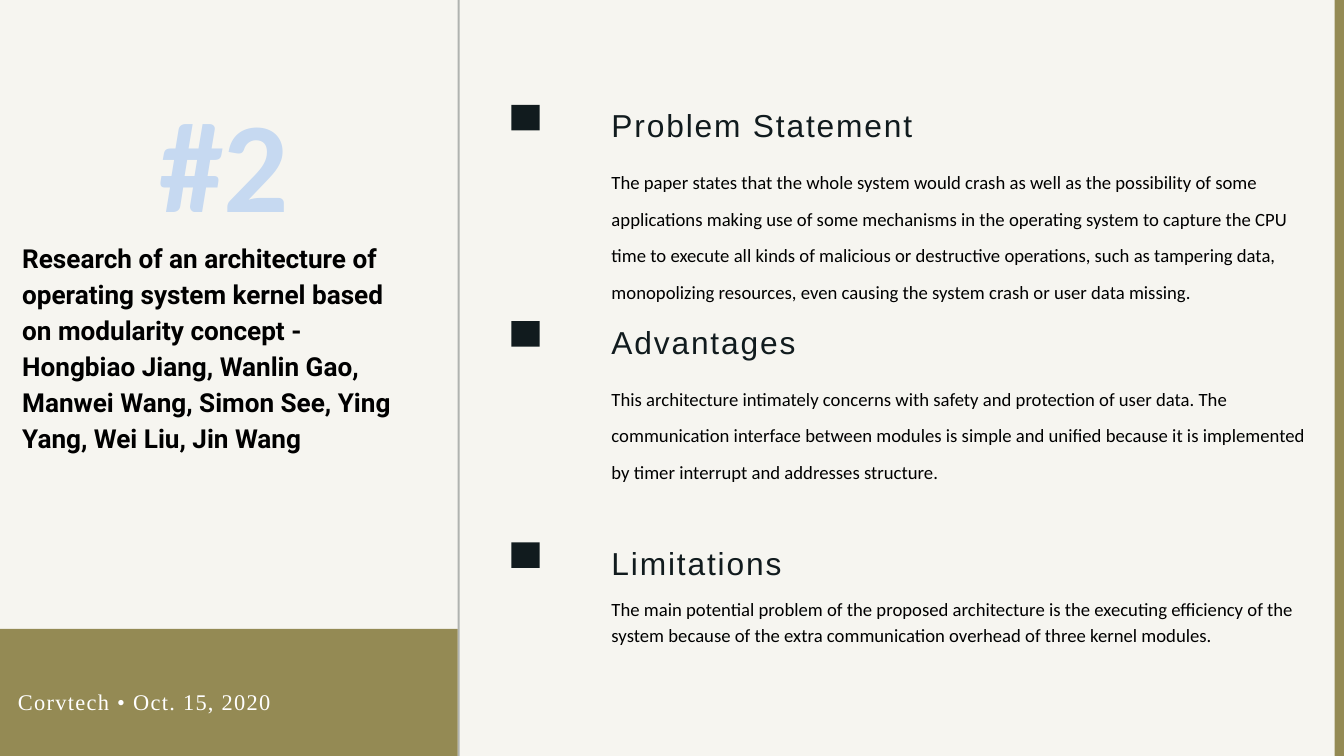
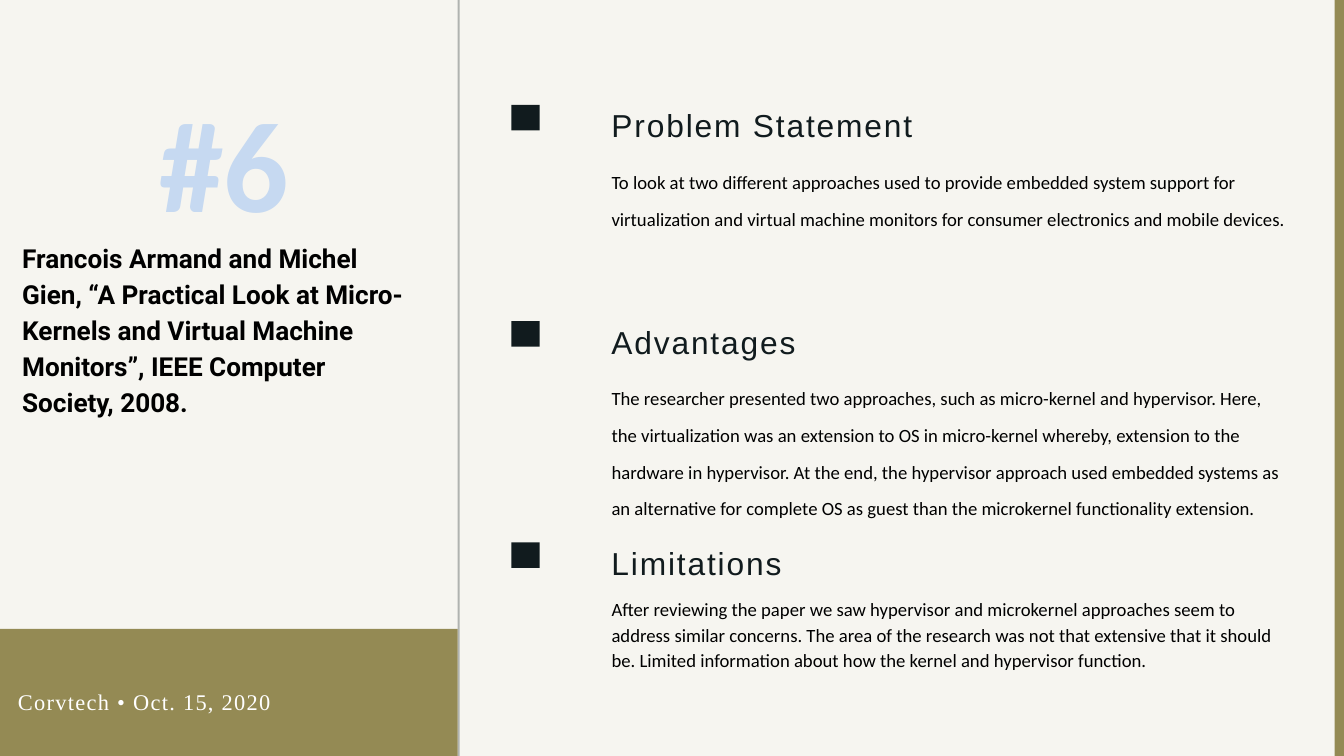
from lxml import etree
from pptx import Presentation
from pptx.dml.color import RGBColor
from pptx.enum.shapes import MSO_SHAPE
from pptx.enum.text import MSO_AUTO_SIZE, PP_ALIGN
from pptx.oxml.ns import qn
from pptx.util import Pt

RECTANGLE = MSO_SHAPE.RECTANGLE
GROW = MSO_AUTO_SIZE.SHAPE_TO_FIT_TEXT
LEFT, CENTER, RIGHT = PP_ALIGN.LEFT, PP_ALIGN.CENTER, PP_ALIGN.RIGHT

COLORS = {
    "paper": "F6F5F0",
    "olive": "948A54",
    "ink": "111B1E",
    "number": "C6D9F1",
    "black": "000000",
    "white": "FFFFFF",
}

FOOTER = "Corvtech • Oct. 15, 2020"
HEADINGS = ("Problem Statement", "Advantages", "Limitations")
SECTION_TOPS = (110.2, 342, 578.9)
BODY_SPACINGS = (Pt(39.2), Pt(39.2), 1.15)
SECTION_LEFT = 655.2
MARKER_LEFT = 547.9

PAPERS = [
    {
        "number": "#2",
        "citation": "Research of an architecture of operating system kernel based on modularity "
                    "concept - Hongbiao Jiang, Wanlin Gao, Manwei Wang, Simon See, Ying Yang, "
                    "Wei Liu, Jin Wang",
        "citation_height": 231.8,
        "body_width": 760.3,
        "body_heights": (153.4, 113.8, 54),
        "bodies": (
            "The paper states that the whole system would crash as well as the possibility of "
            "some applications making use of some mechanisms in the operating system to capture "
            "the CPU time to execute all kinds of malicious or destructive operations, such as "
            "tampering data, monopolizing resources, even causing the system crash or user data "
            "missing.",
            "This architecture intimately concerns with safety and protection of user data. The "
            "communication interface between modules is simple and unified because it is "
            "implemented by timer interrupt and addresses structure.",
            "The main potential problem of the proposed architecture is the executing efficiency "
            "of the system because of the extra communication overhead of three kernel modules.",
        ),
    },
    {
        "number": "#6",
        "citation": "Francois Armand and Michel Gien, “A Practical Look at Micro-Kernels and "
                    "Virtual Machine Monitors”, IEEE Computer Society, 2008.",
        "citation_height": 154.1,
        "body_width": 723.6,
        "body_heights": (74.2, 153.4, 82.1),
        "bodies": (
            "To look at two different approaches used to provide embedded system support for "
            "virtualization and virtual machine monitors for consumer electronics and mobile "
            "devices.",
            "The researcher presented two approaches, such as micro-kernel and hypervisor. Here, "
            "the virtualization was an extension to OS in micro-kernel whereby, extension to the "
            "hardware in hypervisor. At the end, the hypervisor approach used embedded systems "
            "as an alternative for complete OS as guest than the microkernel functionality "
            "extension.",
            "After reviewing the paper we saw hypervisor and microkernel approaches seem to "
            "address similar concerns. The area of the research was not that extensive that it "
            "should be. Limited information about how the kernel and hypervisor function.",
        ),
    },
]


def add_block(shapes, left, top, width, height, color, opacity=100):
    block = shapes.add_shape(RECTANGLE, Pt(left), Pt(top), Pt(width), Pt(height))
    block.shadow.inherit = False
    block.fill.solid()
    block.fill.fore_color.rgb = RGBColor.from_string(COLORS[color])
    block.line.fill.background()
    if opacity < 100:
        tint = block.fill._xPr.find(".//" + qn("a:srgbClr"))
        etree.SubElement(tint, qn("a:alpha"), val=str(opacity * 1000))
    return block


def add_text(shapes, left, top, width, height, text, font, size, color,
             line_spacing=1.0, bold=False, align=LEFT, tracking=0):
    box = shapes.add_textbox(Pt(left), Pt(top), Pt(width), Pt(height))
    frame = box.text_frame
    frame.word_wrap = True
    frame.auto_size = GROW
    frame.margin_left = frame.margin_right = frame.margin_top = frame.margin_bottom = 0
    para = frame.paragraphs[0]
    span = para.add_run()
    span.text = text
    para.alignment = align
    para.line_spacing = line_spacing
    para.font.name = font
    para.font.size = Pt(size)
    para.font.bold = bold
    para.font.color.rgb = RGBColor.from_string(COLORS[color])
    if tracking:
        span.font._element.set("spc", str(round(tracking * 100)))


def add_frame(page):
    page.background.fill.solid()
    page.background.fill.fore_color.rgb = RGBColor.from_string(COLORS["paper"])
    add_block(page.shapes, 490.3, -51.8, 2.2, 914.4, "ink", opacity=30)
    footer = page.shapes.add_group_shape().shapes
    add_block(footer, -275.8, 673.9, 766.1, 181.4, "olive")
    add_text(footer, -241.9, 733, 532.1, 31.7, FOOTER, "Times New Roman", 24, "white",
             Pt(33.6), align=RIGHT, tracking=1.4)
    add_block(page.shapes, 1429.9, -94.3, 52.6, 904.3, "olive")


def add_section(page, top, heading, body, width, height, line_spacing):
    add_block(page.shapes, MARKER_LEFT, top + 2.1, 30.2, 27.4, "ink")
    section = page.shapes.add_group_shape().shapes
    add_text(section, SECTION_LEFT, top, 442.1, 42.5, heading, "Arial", 34, "ink",
             Pt(44.2), tracking=2)
    add_text(section, SECTION_LEFT, top + 57.8, width, height, body, "Calibri", 20, "black",
             line_spacing)


def add_paper(deck, paper):
    page = deck.slides.add_slide(deck.slide_layouts[6])
    add_frame(page)
    add_text(page.shapes, 120, 89.5, 240, 168, paper["number"], "Calibri", 138, "number",
             bold=True, align=CENTER)
    add_text(page.shapes, 23.8, 254.2, 417.6, paper["citation_height"], paper["citation"],
             "Roboto", 28, "black", 1.15, bold=True)
    for top, heading, body, height, line_spacing in zip(
            SECTION_TOPS, HEADINGS, paper["bodies"], paper["body_heights"], BODY_SPACINGS):
        add_section(page, top, heading, body, paper["body_width"], height, line_spacing)


def main():
    deck = Presentation()
    deck.slide_width = Pt(1440)
    deck.slide_height = Pt(810)
    for paper in PAPERS:
        add_paper(deck, paper)
    deck.save("out.pptx")


if __name__ == "__main__":
    main()
